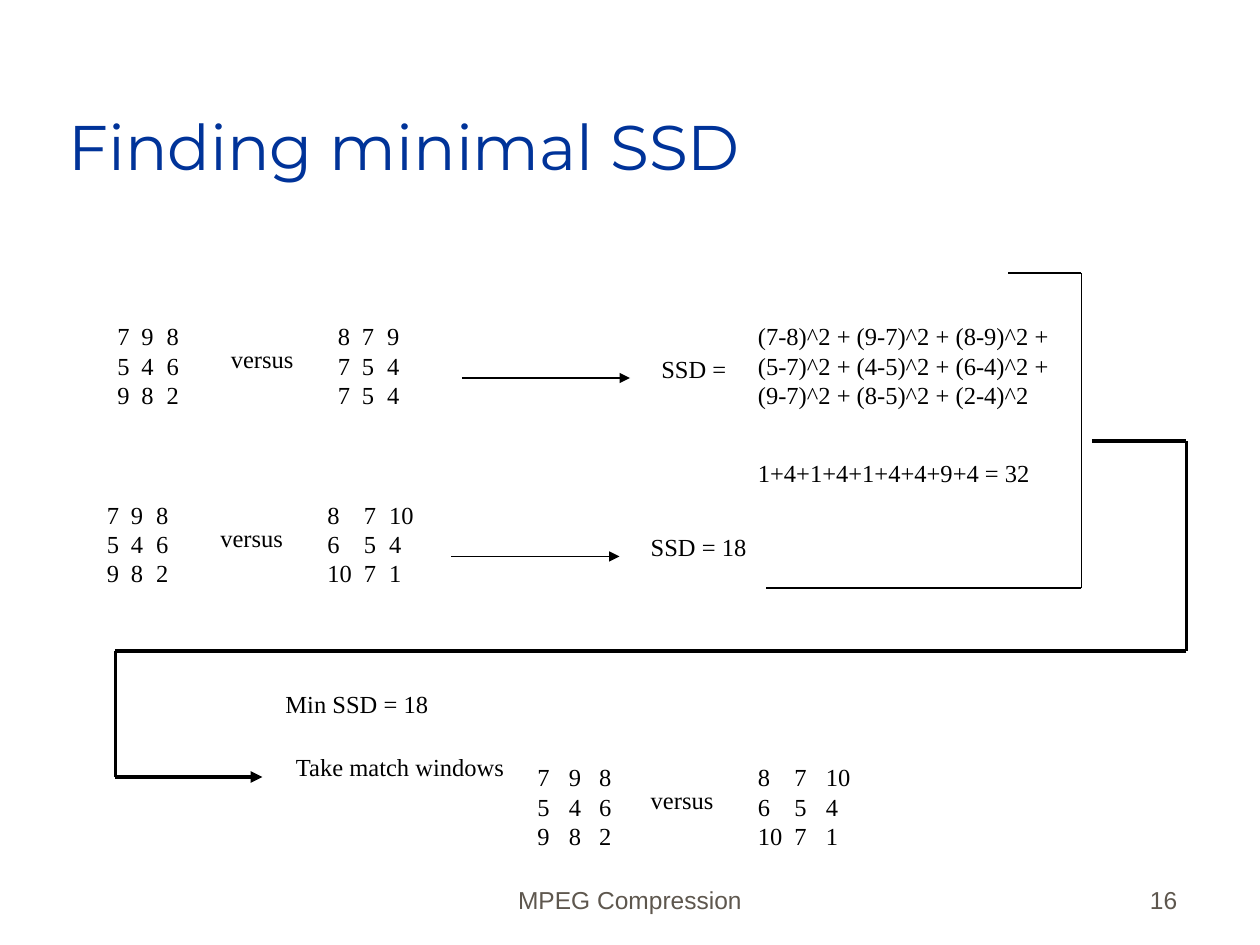
from lxml import etree
from pptx import Presentation
from pptx.dml.color import RGBColor
from pptx.enum.shapes import MSO_CONNECTOR
from pptx.enum.text import MSO_ANCHOR, MSO_AUTO_SIZE, PP_ALIGN
from pptx.oxml.ns import qn
from pptx.util import Inches, Pt

STRAIGHT = MSO_CONNECTOR.STRAIGHT
TOP, BOTTOM = MSO_ANCHOR.TOP, MSO_ANCHOR.BOTTOM
LEFT, CENTER, RIGHT = PP_ALIGN.LEFT, PP_ALIGN.CENTER, PP_ALIGN.RIGHT

COLORS = {"title": "003399", "body": "000000", "footer": "5E574E"}
COLS, ROWS = 120, 90
CELL = 1 / 12  # inches


def grid(n):
    return Inches(n * CELL)


class SlideBuilder:
    """Draws on one slide; lengths are columns and rows of a 120 x 90 grid."""

    def __init__(self, slide):
        self.slide = slide

    def style(self, tf, size, font, color, align=LEFT):
        for p in tf.paragraphs:
            p.alignment = align
            for r in p.runs:
                r.font.size = Pt(size)
                r.font.name = font
                r.font.color.rgb = RGBColor.from_string(COLORS[color])

    def title(self, text, x, y, w, h):
        sp = self.slide.shapes.title
        sp.left, sp.top, sp.width, sp.height = map(grid, (x, y, w, h))
        tf = sp.text_frame
        tf.text = text
        tf.auto_size = MSO_AUTO_SIZE.NONE
        tf.vertical_anchor = BOTTOM
        self.style(tf, 36, "Montserrat", "title")

    def box(self, text, x, y, w, h, anchor=TOP):
        tf = self.slide.shapes.add_textbox(*map(grid, (x, y, w, h))).text_frame
        tf.word_wrap = True
        tf.vertical_anchor = anchor
        tf.text = text
        return tf

    def label(self, text, x, y, w, h=4.1):
        tf = self.box(text, x, y, w, h)
        tf.margin_right = 0
        self.style(tf, 14, "Times New Roman", "body")
        return tf

    def matrix(self, rows, x, y, w, stops):
        """Number block whose second and third columns start at tab stops (inches)."""
        text = "\n".join("\t".join(row.split()) for row in rows)
        tf = self.label(text, x, y, w, 9.6)
        for p in tf.paragraphs:
            tabs = etree.SubElement(p._p.get_or_add_pPr(), qn("a:tabLst"))
            for stop in stops:
                etree.SubElement(tabs, qn("a:tab"), pos=str(Inches(stop)), algn="l")

    def comparison(self, x, y, left, right):
        self.matrix(x=x, y=y, **left)
        self.label("versus", x + 10.8, y + 2.2, 8.4)
        self.matrix(x=x + 21, y=y, **right)

    def ssd(self, x, y, text, w):
        """Arrow and result that follow the comparison at x, y."""
        self.route([(x + 34, y + 6), (x + 50, y + 6)], 0.75, arrow=True)
        self.label(text, x + 51.8, y + 3.1, w)

    def route(self, points, width, arrow=False):
        """Straight connectors through the points, with an optional end arrow."""
        for start, end in zip(points, points[1:]):
            line = self.slide.shapes.add_connector(STRAIGHT, *map(grid, start + end))
            line.line.width = Pt(width)
            line.line.color.rgb = RGBColor.from_string(COLORS["body"])
            sp_pr = line.element.spPr
            if arrow and end == points[-1]:
                etree.SubElement(sp_pr.find(qn("a:ln")), qn("a:tailEnd"), type="triangle")
            etree.SubElement(sp_pr, qn("a:effectLst"))

    def footer(self, text, x, w, align):
        tf = self.box(text, x, 81.7, w, 6, BOTTOM)
        self.style(tf, 14, "Arial", "footer", align)


def main():
    prs = Presentation()
    prs.slide_width, prs.slide_height = grid(COLS), grid(ROWS)
    s = SlideBuilder(prs.slides.add_slide(prs.slide_layouts[5]))
    s.title("Finding minimal SSD", 5.3, 3, 102, 15)

    window = ["7 9 8", "5 4 6", "9 8 2"]
    first = ["8 7 9", "7 5 4", "7 5 4"]
    best = ["8 7 10", "6 5 4", "10 7 1"]
    narrow = {"w": 8.3, "stops": (0.19, 0.39)}

    s.comparison(10, 30, {"rows": window, **narrow}, {"rows": first, **narrow})
    s.ssd(10, 30, "SSD =", 8.5)
    s.label("(7-8)^2 + (9-7)^2 + (8-9)^2 +\n"
            "(5-7)^2 + (4-5)^2 + (6-4)^2 +\n"
            "(9-7)^2 + (8-5)^2 + (2-4)^2", 71, 30, 30.1, 9.6)
    s.label("1+4+1+4+1+4+4+9+4 = 32", 71, 43, 28.3)

    s.comparison(9, 47, {"rows": window, **narrow},
                 {"rows": best, "w": 10.6, "stops": (0.29, 0.49)})
    s.ssd(9, 47, "SSD = 18", 11.5)

    s.route([(96, 26), (103, 26), (103, 56), (73, 56)], 0.75)
    s.route([(104, 42), (113, 42), (113, 62), (11, 62)], 2.25)
    s.route([(11, 62), (11, 74)], 1.5)
    s.route([(11, 74), (25, 74)], 2.25, arrow=True)

    s.label("Min SSD = 18", 26, 65, 16)
    s.label("Take match windows", 27, 71, 22.4)
    s.comparison(50, 72, {"rows": window, "w": 9.4, "stops": (0.25, 0.49)},
                 {"rows": best, "w": 11.2, "stops": (0.29, 0.54)})

    s.footer("MPEG Compression", 41, 38, CENTER)
    s.footer("16", 88.3, 25, RIGHT)
    prs.save("out.pptx")


if __name__ == "__main__":
    main()
